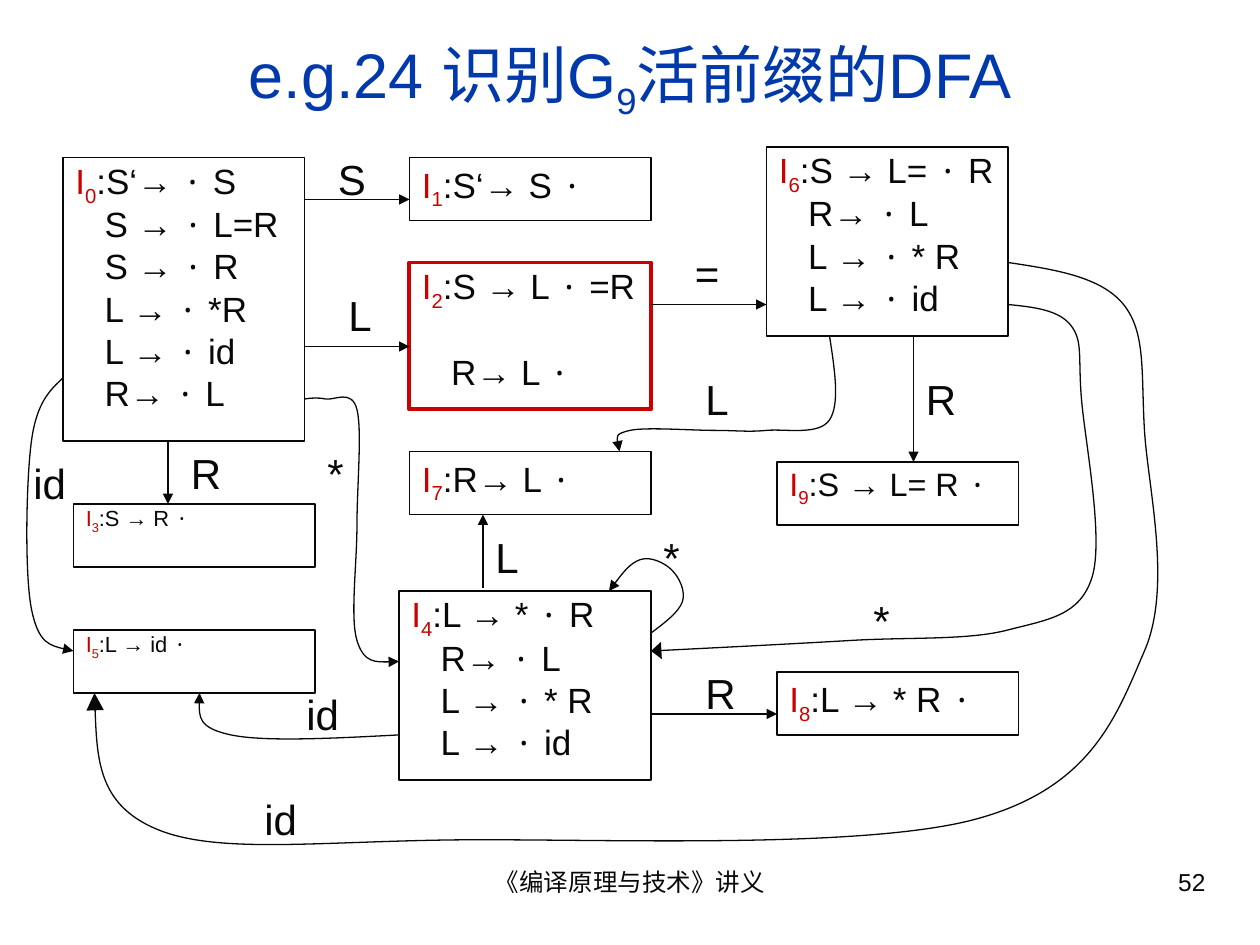
from lxml.etree import SubElement
from pptx import Presentation
from pptx.dml.color import RGBColor
from pptx.enum.shapes import MSO_CONNECTOR, MSO_SHAPE
from pptx.enum.text import MSO_ANCHOR, MSO_AUTO_SIZE, PP_ALIGN
from pptx.oxml.ns import qn
from pptx.util import Cm, Pt

INK = RGBColor(0x08, 0x08, 0x08)
RED = RGBColor(0xCC, 0x00, 0x00)
BLUE = RGBColor(0x00, 0x39, 0xAC)
FONT = "Arial"
DOT = "∙"
DOT_FONT = "Noto Sans Mono"


def grid(steps):
    """Length of a number of grid steps; twelve steps make 2.54 cm."""
    return Cm(steps * 2.54 / 12)


def control_points(knots):
    """Bezier control points of a smooth curve through the knots."""
    slopes = [((after[0] - before[0]) / 6, (after[1] - before[1]) / 6)
              for before, after in zip(knots, knots[2:])]
    leaving = [None] + [(x + dx, y + dy)
                        for (x, y), (dx, dy) in zip(knots[1:], slopes)]
    arriving = [(x - dx, y - dy)
                for (x, y), (dx, dy) in zip(knots[1:], slopes)] + [None]
    points = []
    for start, first, second, end in zip(knots, leaving, arriving, knots[1:]):
        first = first or midpoint(start, second)
        second = second or midpoint(first, end)
        points += [first, second, end]
    return points


def midpoint(a, b):
    return (a[0] + b[0]) / 2, (a[1] + b[1]) / 2


class Diagram:
    """Holds the style and the current slide; places are in grid steps."""

    def __init__(self, slide):
        self.slide = slide
        self.shapes = slide.shapes

    def add_run(self, paragraph, text, size, color=INK, font=FONT, subscript=False):
        run = paragraph.add_run()
        run.text = text
        run.font.name = font
        run.font.size = Pt(size)
        run.font.color.rgb = color
        if subscript:
            run.font._element.set("baseline", "-25000")

    def add_item(self, paragraph, text, size):
        for index, part in enumerate(text.split(DOT)):
            if index:
                self.add_run(paragraph, DOT, size, font=DOT_FONT)
            if part:
                self.add_run(paragraph, part, size)

    def title(self, left, top, width, height, parts, size):
        shape = self.shapes.title
        shape.left, shape.top = grid(left), grid(top)
        shape.width, shape.height = grid(width), grid(height)
        frame = shape.text_frame
        frame.vertical_anchor = MSO_ANCHOR.MIDDLE
        frame.paragraphs[0].alignment = PP_ALIGN.CENTER
        for text, subscript in parts:
            self.add_run(frame.paragraphs[0], text, size, BLUE, subscript=subscript)

    def text(self, left, top, width, height, text, size, align=PP_ALIGN.LEFT):
        box = self.shapes.add_textbox(grid(left), grid(top), grid(width), grid(height))
        frame = box.text_frame
        frame.word_wrap = True
        frame.paragraphs[0].alignment = align
        self.add_run(frame.paragraphs[0], text, size)
        return box

    def label(self, left, top, text):
        box = self.text(left, top, 6, 6, text, 24)
        box.text_frame.auto_size = MSO_AUTO_SIZE.SHAPE_TO_FIT_TEXT

    def state(self, number, left, top, width, height, items,
              size=20, spacing=0.8, gap=5, line=INK, weight=0.75):
        shape = self.shapes.add_shape(MSO_SHAPE.RECTANGLE, grid(left), grid(top),
                                      grid(width), grid(height))
        shape.shadow.inherit = False
        shape.fill.background()
        shape.line.color.rgb = line
        shape.line.width = Pt(weight)
        frame = shape.text_frame
        frame.word_wrap = True
        frame.vertical_anchor = MSO_ANCHOR.TOP
        for index, item in enumerate(items):
            paragraph = frame.add_paragraph() if index else frame.paragraphs[0]
            paragraph.alignment = PP_ALIGN.LEFT
            paragraph.line_spacing = spacing
            if index:
                paragraph.space_before = Pt(gap)
                paragraph._p.get_or_add_pPr().set("marL", str(Cm(0.59)))
            else:
                self.add_run(paragraph, "I", size, RED)
                self.add_run(paragraph, str(number), size, RED, subscript=True)
                item = ":" + item
            self.add_item(paragraph, item, size)

    def finish_arrow(self, shape, head_width="med", head_length="med"):
        shape.line.color.rgb = INK
        shape.line.width = Pt(0.75)
        SubElement(shape.line._get_or_add_ln(), qn("a:tailEnd"),
                   type="triangle", w=head_width, len=head_length)

    def arrow(self, start, end):
        connector = self.shapes.add_connector(
            MSO_CONNECTOR.STRAIGHT, *map(grid, start), *map(grid, end))
        self.finish_arrow(connector)
        SubElement(connector._element.spPr, qn("a:effectLst"))

    def curve(self, knots, head_width="med", head_length="med"):
        builder = self.shapes.build_freeform(*map(grid, knots[0]))
        builder.add_line_segments(
            [(grid(x), grid(y)) for x, y in control_points(knots)], close=False)
        shape = builder.convert_to_shape()
        # Turn each three line points into one Bezier segment
        outline = shape._element.find(".//" + qn("a:path"))
        lines = outline.findall(qn("a:lnTo"))
        for index in range(0, len(lines), 3):
            bezier = SubElement(outline, qn("a:cubicBezTo"))
            for line in lines[index:index + 3]:
                bezier.append(line[0])
                outline.remove(line)
        shape.fill.background()
        self.finish_arrow(shape, head_width, head_length)
        shape.shadow.inherit = False


def main():
    presentation = Presentation()
    presentation.slide_width, presentation.slide_height = grid(120), grid(90)
    slide = presentation.slides.add_slide(presentation.slide_layouts[5])
    diagram = Diagram(slide)

    # Title and footer
    diagram.title(4, 3, 112, 9, [("e.g.24 识别G", False), ("9", True),
                                 ("活前缀的DFA", False)], 36)
    diagram.text(41, 82, 38, 6.2, "《编译原理与技术》讲义", 14, PP_ALIGN.CENTER)
    diagram.text(86, 82, 30, 6.2, "52", 14, PP_ALIGN.RIGHT)

    # States with their items
    closure = ["R→ ∙ L", "L → ∙ * R", "L → ∙ id"]
    diagram.state(0, 6, 15, 23, 27, ["S‘→ ∙ S", "S → ∙ L=R", "S → ∙ R",
                                     "L → ∙ *R", "L → ∙ id", "R→ ∙ L"])
    diagram.state(1, 39, 15, 23, 6, ["S‘→ S ∙"], spacing=0.9)
    diagram.state(2, 39, 25, 23, 14, ["S → L ∙ =R", "R→ L ∙"],
                  gap=29.5, line=RED, weight=2.25)
    diagram.state(3, 7, 48, 23, 6, ["S → R ∙"], size=12.5, spacing=0.7)
    diagram.state(4, 38, 56.3, 24, 18, ["L → * ∙ R"] + closure)
    diagram.state(5, 7, 60, 23, 6, ["L → id ∙"], size=12.5, spacing=0.7)
    diagram.state(6, 73, 14, 23, 18, ["S → L= ∙ R"] + closure)
    diagram.state(7, 39, 43, 23, 6, ["R→ L ∙"], spacing=0.9)
    diagram.state(8, 74, 64, 23, 6, ["L → * R ∙"], spacing=0.9)
    diagram.state(9, 74, 44, 23, 6, ["S → L= R ∙"], size=18.5)

    # Straight transitions
    for start, end in [((29, 33), (39, 33)), ((29, 19), (39, 19)),
                       ((16, 42), (16, 48)), ((46, 56), (46, 49)),
                       ((62, 68), (74, 68)), ((87, 32), (87, 44)),
                       ((62, 29), (73, 29))]:
        diagram.arrow(start, end)

    # Curved transitions
    for knots in [
        [(62, 60.3), (65, 57.3), (64, 54.3), (61, 53.3), (58, 56.3)],
        [(38, 70), (22, 70), (19, 66)],
        [(6, 36), (3, 42), (3, 58), (7, 62)],
        [(29, 38), (31, 38), (34, 39), (34, 50), (34, 61), (38, 63)],
        [(79, 32), (79, 40), (73, 41), (68, 41), (60, 41), (59, 43)],
    ]:
        diagram.curve(knots)
    diagram.curve([(96, 25), (107, 29), (109, 41), (109, 62), (93, 78),
                   (43, 80), (15, 79), (9, 66)], "lg", "lg")
    diagram.curve([(96, 29), (102, 31), (103, 38), (104, 55), (96, 60),
                   (81, 61), (62, 62)], "lg", "med")

    # Transition symbols
    for left, top, symbol in [
        (31, 14, "S"), (32, 27, "L"), (17, 42, "R"), (2, 43, "id"),
        (30, 42, "*"), (65, 23, "="), (46, 50, "L"), (62, 50, "*"),
        (66, 63, "R"), (66, 35, "L"), (87, 35, "R"), (24, 75, "id"),
        (28, 65, "id"), (82, 56, "*"),
    ]:
        diagram.label(left, top, symbol)

    presentation.save("out.pptx")


if __name__ == "__main__":
    main()
